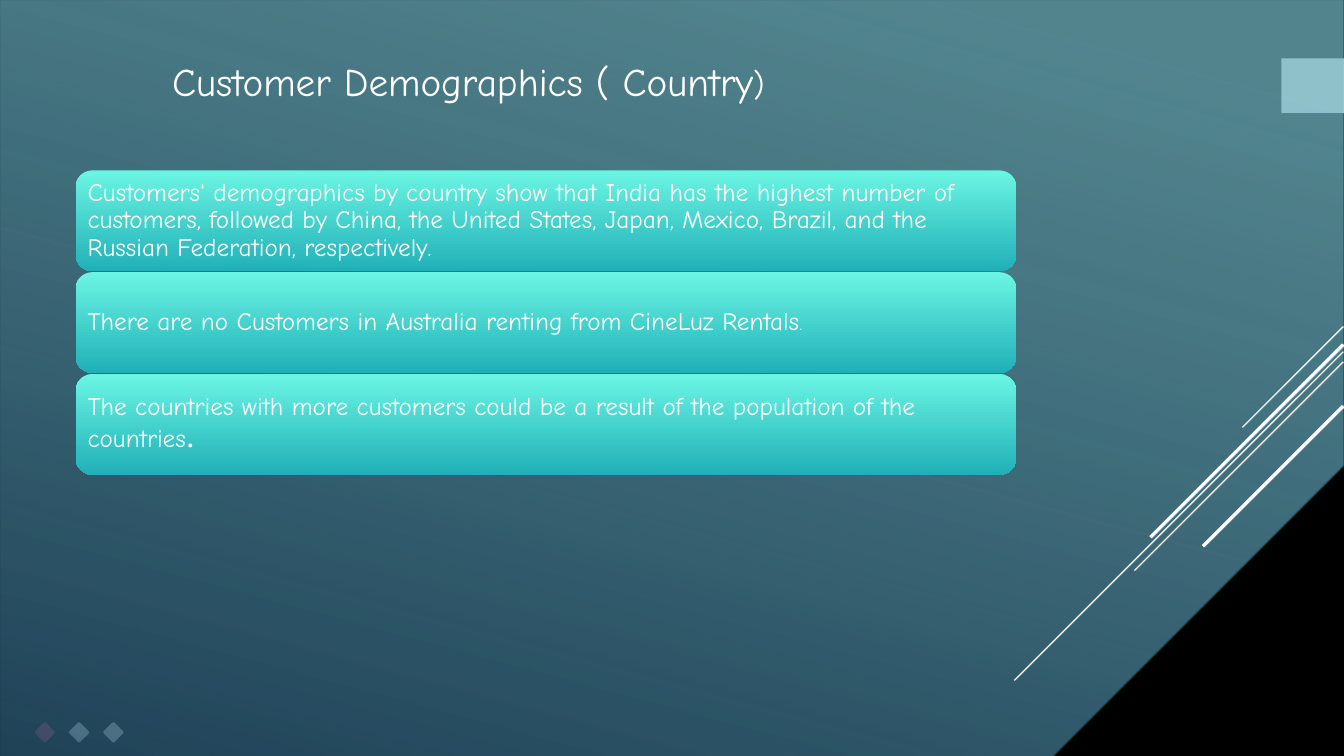
from lxml import etree
from pptx import Presentation
from pptx import util as u
from pptx.dml.color import RGBColor
from pptx.enum import shapes, text
from pptx.oxml.ns import qn

# Content: runs are (words, size, font)
HAND, BOLD = "Comic Neue", "League Spartan"
TITLE = [("Customer Demographics ( Country", 28, HAND), (")", 24, HAND)]
CARDS = [
    [("Customers' demographics by country show that India has the highest "
      "number of customers, followed by China, the United States, Japan, "
      "Mexico, Brazil, and the Russian Federation, respectively.", 18, HAND)],
    [("There are no Customers in Australia renting from CineLuz Rentals", 18, HAND),
     (".", 14, HAND)],
    [("The countries with more customers could be a result of the population "
      "of the countries", 18, HAND), (".", 22, BOLD)],
]
# Diagonal streaks: top, run, weight
STREAKS = [(3.24, 1, 0.75), (3.49, 3.26, 0.75), (3.59, 2.07, 0.75),
           (3.42, 1.91, 2.25), (4.03, 1.39, 2.25)]

WHITE = RGBColor(0xFF, 0xFF, 0xFF)
BLACK = RGBColor(0, 0, 0)
ROSE = RGBColor(0xCE, 0x29, 0x5E)
MIST = RGBColor(0x75, 0xBE, 0xCB)
NAVY = RGBColor(0x27, 0x52, 0x6C)
MINT = RGBColor(0x6A, 0xF5, 0xE3)
TEAL = RGBColor(0x21, 0xB0, 0xB8)
WIDE, HIGH = 13.33, 7.5
KIND = shapes.MSO_SHAPE

deck = Presentation()
deck.slide_width, deck.slide_height = u.Inches(WIDE), u.Inches(HIGH)
slide = deck.slides.add_slide(deck.slide_layouts[6])
slide.background.fill.solid()
slide.background.fill.fore_color.rgb = BLACK


def add_box(kind, left, top, wide, high, color):
    box = slide.shapes.add_shape(kind, *map(u.Inches, (left, top, wide, high)))
    box.shadow.inherit = False
    box.line.fill.background()
    box.fill.solid()
    box.fill.fore_color.rgb = color
    return box


def fade(color, share):
    etree.SubElement(color, qn("a:alpha"), val=str(share * 1000))


def blend(box, stops, angle):
    """Fill with stops of (place, colour, opacity) at a clockwise angle."""
    old = box._element.spPr.find(qn("a:solidFill"))
    grad = etree.Element(qn("a:gradFill"), rotWithShape="0")
    row = etree.SubElement(grad, qn("a:gsLst"))
    for place, color, share in stops:
        stop = etree.SubElement(row, qn("a:gs"), pos=str(place * 1000))
        tint = etree.SubElement(stop, qn("a:srgbClr"), val=str(color))
        if share < 100:
            fade(tint, share)
    etree.SubElement(grad, qn("a:lin"), ang=str(angle * 60000), scaled="0")
    old.getparent().replace(old, grad)


def add_runs(para, runs):
    for words, size, face in runs:
        run = para.add_run()
        run.text = words
        run.font.size = u.Pt(size)
        run.font.name = face
        run.font.color.rgb = WHITE


def add_streaks(right):
    for top, span, weight in STREAKS:
        line = slide.shapes.add_connector(
            shapes.MSO_CONNECTOR.STRAIGHT,
            *map(u.Inches, (right, top, right - span, top + span)))
        line.line.color.rgb = WHITE
        line.line.width = u.Pt(weight)
        etree.SubElement(line._element.spPr, qn("a:effectLst"))


# Marks under the veil: tab, diamonds, streaks
add_box(KIND.RECTANGLE, 12.71, 0.58, 0.62, 0.54, WHITE)
for col, color in enumerate([ROSE, WHITE, WHITE]):
    gem = add_box(KIND.ROUNDED_RECTANGLE, 0.37 + 0.34 * col, 7.19, 0.15, 0.15, color)
    gem.adjustments[0] = 0.11
    gem.rotation = 315
add_streaks(WIDE)

# Veil and cut-corner backdrop
veil = add_box(KIND.RECTANGLE, 0, 0, WIDE, HIGH, BLACK)
fade(veil._element.spPr.find(qn("a:solidFill"))[0], 20)
back = add_box(KIND.SNIP_1_RECTANGLE, 0, 0, WIDE, HIGH, MIST)
back.adjustments[0] = 0.384
back._element.spPr.find(qn("a:xfrm")).set("flipV", "1")
blend(back, [(10, MIST, 70), (100, NAVY, 80)], 255)
add_streaks(WIDE - 0.01)

# Cards
for row, runs in enumerate(CARDS):
    card = add_box(KIND.ROUNDED_RECTANGLE, 0.75, 1.69 + 1.01 * row, 9.33, 1, MINT)
    blend(card, [(0, MINT, 100), (100, TEAL, 100)], 90)
    frame = card.text_frame
    frame.word_wrap = True
    frame.vertical_anchor = text.MSO_ANCHOR.MIDDLE
    frame.margin_left = frame.margin_right = u.Inches(0.07)
    frame.margin_top = frame.margin_bottom = u.Inches(0.07)
    para = frame.paragraphs[0]
    para.alignment = text.PP_ALIGN.LEFT
    para.line_spacing = 0.9
    add_runs(para, runs)

# Title
head = slide.shapes.add_textbox(*map(u.Inches, (1.61, 0.52, 7.84, 0.57)))
head.text_frame.word_wrap = True
add_runs(head.text_frame.paragraphs[0], TITLE)

deck.save("out.pptx")
